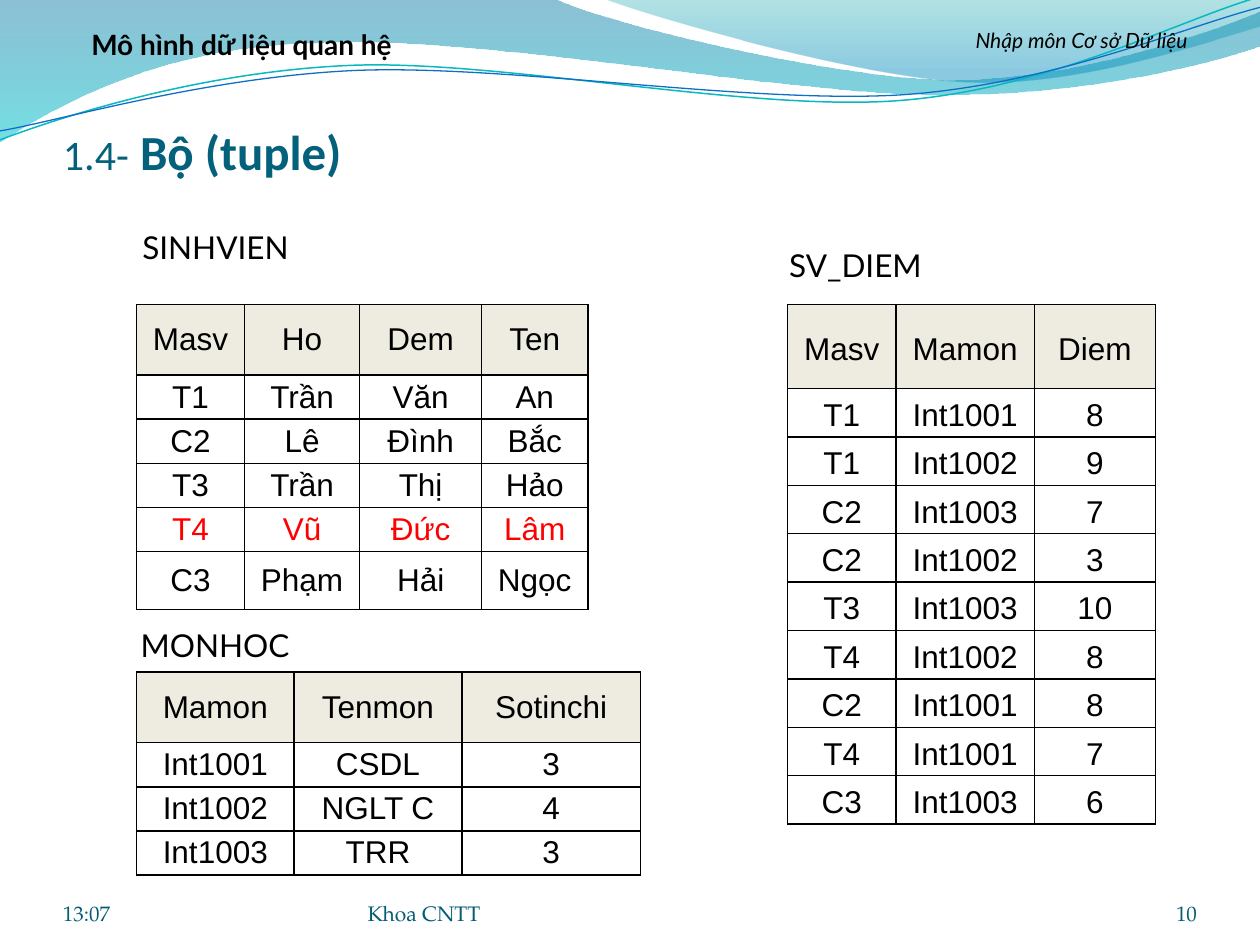
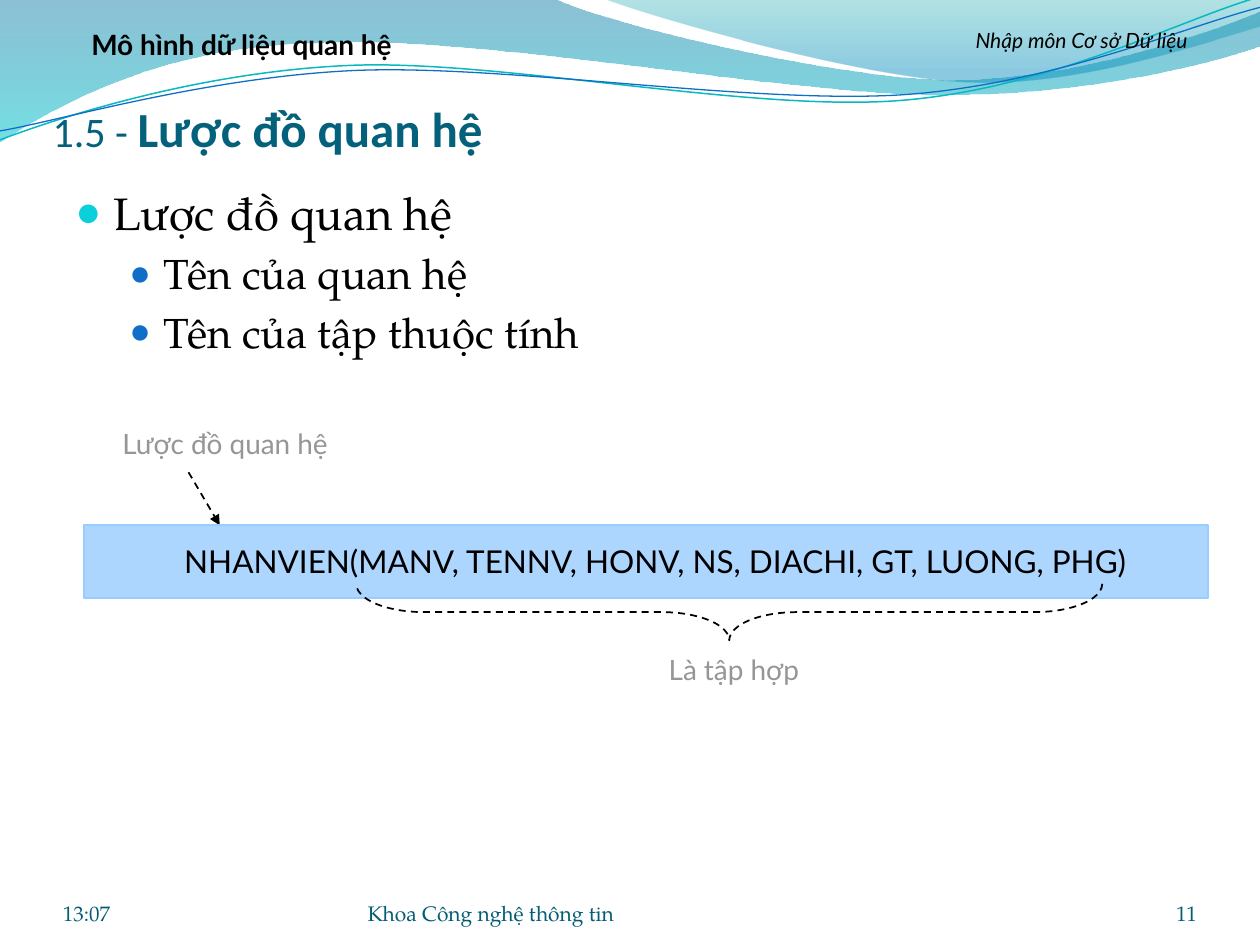
from dataclasses import dataclass

from pptx import Presentation
from pptx.dml.color import RGBColor as Rgb
from pptx.enum.dml import MSO_LINE_DASH_STYLE as Dash
from pptx.enum.shapes import MSO_CONNECTOR_TYPE as Connector, MSO_SHAPE as Shape
from pptx.enum.text import MSO_ANCHOR as Anchor, PP_ALIGN as Align
from pptx.oxml.ns import qn
from pptx.oxml.xmlchemy import OxmlElement as Element
from pptx.util import Cm, Pt


@dataclass(frozen=True)
class Theme:
    title: str = "04617B"
    footer: str = "045D75"
    text: str = "000000"
    muted: str = "969696"
    highlight: str = "FF0000"
    header_fill: str = "EEECE1"
    schema_fill: str = "99CCFF"
    bullet: str = "0BD0D9"
    sub_bullet: str = "0F6FC6"
    title_font: str = "Calibri"
    body_font: str = "TeX Gyre Pagella"
    label_font: str = "Lato"
    table_font: str = "Arial"
    title_size: int = 28
    body_size: int = 26
    sub_size: int = 24
    label_size: int = 18
    note_size: int = 16
    small_size: int = 12


@dataclass(frozen=True)
class Box:
    """A rectangle in centimetres."""
    left: float
    top: float
    width: float
    height: float

    def inner(self, x, y, width, height):
        return Box(self.left + x, self.top + y, width, height)

    def lengths(self):
        return [Cm(v) for v in (self.left, self.top, self.width, self.height)]


THEME = Theme()
PAGE = Box(0, 0, 25.4, 19.05)

# Wave outlines in cm: a start point, then lines (x, y) or curves (three points)
WAVE_BANDS = [
    ([(0, -0.03), (11.18, -0.03), (12.09, 0.43, 16.87, 1.6, 19.25, 1.6),
      (21.67, 1.6, 24.33, 0.66, 25.4, 0.23), (25.43, 0.91),
      (24.97, 1.12, 22.1, 1.93, 18.95, 1.91), (15.8, 1.91, 9.7, 0.71, 6.53, 0.86),
      (3.28, 0.89, 1.17, 2.11, -0.03, 2.87), (0, -0.03)],
     [(0, "0074A1", 45), (1, "00C6CF", 55)]),
    ([(12.17, -0.03), (12.93, 0.28, 17.32, 1.57, 19.53, 1.65),
      (21.74, 1.75, 24.41, 0.81, 25.4, 0.53), (25.4, 0), (12.17, -0.03)],
     [(0, "00A1A9", 30), (0.8, "008BBF", 45)]),
]
WAVE_LINES = [
    ([(0, 2.82), (1.22, 2.36, 4.01, 1.45, 7.04, 1.32),
      (10.03, 1.19, 15.06, 2.26, 18.11, 2.03), (21.16, 1.8, 23.83, 0.38, 25.35, -0.05)],
     "0AB8BF", 0.85),
    ([(0, 2.64), (1.19, 2.44, 4.17, 1.55, 7.19, 1.42),
      (10.24, 1.3, 15.16, 2.11, 18.21, 1.91), (21.23, 1.7, 23.9, 0.53, 25.4, 0.15)],
     "0F6FC6", 0.75),
]


def style(font, name, size, color, bold=False, italic=False):
    font.name, font.size, font.bold, font.italic = name, Pt(size), bold, italic
    font.color.rgb = Rgb.from_string(color)


def add_text(page, box, text, name, size, color, align=Align.LEFT, anchor=Anchor.TOP,
             insets=(0.25, 0.13, 0.25, 0.13), bold=False, italic=False):
    frame = page.shapes.add_textbox(*box.lengths()).text_frame
    frame.word_wrap, frame.vertical_anchor = True, anchor
    (frame.margin_left, frame.margin_top,
     frame.margin_right, frame.margin_bottom) = [Cm(v) for v in insets]
    para = frame.paragraphs[0]
    para.text, para.alignment = text, align
    for span in para.runs:
        style(span.font, name, size, color, bold, italic)
    return para


def add_label(page, box, text, size=THEME.label_size, color=THEME.text, **emphasis):
    return add_text(page, box, text, THEME.label_font, size, color, Align.CENTER, **emphasis)


def set_opacity(shape, *percents):
    for color, percent in zip(shape._element.spPr.iter(qn("a:srgbClr")), percents):
        alpha = Element("a:alpha")
        alpha.set("val", str(percent * 1000))
        color.append(alpha)


def dash_line(line):
    line.color.rgb = Rgb.from_string(THEME.text)
    line.width, line.dash_style = Pt(1), Dash.DASH


# Wave decoration at the top

def add_wave(page, box, outline, close):
    """Lay out all points as lines, then join each curve's three into one Bézier."""
    points = [(Cm(box.left + x), Cm(box.top + y))
              for segment in outline for x, y in zip(segment[::2], segment[1::2])]
    builder = page.shapes.build_freeform(*points[0])
    builder.add_line_segments(points[1:], close=close)
    wave = builder.convert_to_shape()
    wave.shadow.inherit = False
    lines = iter(list(wave._element.spPr.iter(qn("a:lnTo"))))
    for segment in outline[1:]:
        first = next(lines)
        if len(segment) == 6:
            curve = Element("a:cubicBezTo")
            first.addprevious(curve)
            for line in (first, next(lines), next(lines)):
                curve.append(line[0])
                line.getparent().remove(line)
    return wave


def add_waves(page, box):
    for outline, stops in WAVE_BANDS:
        band = add_wave(page, box, outline, True)
        band.line.fill.background()
        band.fill.gradient()
        band.fill.gradient_angle = 270
        for stop, (position, color, _) in zip(band.fill.gradient_stops, stops):
            stop.position, stop.color.rgb = position, Rgb.from_string(color)
        set_opacity(band, *(opacity for _, _, opacity in stops))
    for outline, color, width in WAVE_LINES:
        wave = add_wave(page, box, outline, False)
        wave.fill.background()
        wave.line.color.rgb, wave.line.width = Rgb.from_string(color), Pt(width)


# Running heads, title and footer

def add_heads(page, box):
    add_label(page, box.inner(18.21, 0.43, 7.19, 0.97), "Nhập môn Cơ sở Dữ liệu",
              THEME.small_size, italic=True)
    add_label(page, box.inner(0.64, 0.43, 8.46, 0.94), "Mô hình dữ liệu quan hệ",
              THEME.note_size, bold=True)


def add_title(page, box, number, title):
    para = add_text(page, box, number, THEME.title_font, THEME.sub_size, THEME.title,
                    anchor=Anchor.BOTTOM, insets=(0, 0.13, 0, 0))
    span = para.add_run()
    span.text = title
    style(span.font, THEME.title_font, THEME.title_size, THEME.title, bold=True)


def add_footer(page, box, department, number):
    for x, width, text, align in ((0, 5.92, "13:07", Align.LEFT),
                                  (6.14, 9.32, department, Align.LEFT),
                                  (20.75, 2.11, number, Align.RIGHT)):
        add_text(page, box.inner(x, 0, width, box.height), text, THEME.body_font,
                 THEME.small_size, THEME.footer, align, Anchor.BOTTOM, (0, 0, 0, 0))


def add_page(deck, title_box, number, title, department, page_number):
    page = deck.slides.add_slide(deck.slide_layouts[6])
    add_waves(page, PAGE)
    add_title(page, title_box, number, title)
    add_footer(page, PAGE.inner(1.27, 17.65, 22.86, 1.02), department, page_number)
    add_heads(page, PAGE)
    return page


# Relation: a caption above a bordered table

def add_borders(cell):
    properties = cell._tc.get_or_add_tcPr()
    for side in ("a:lnL", "a:lnR", "a:lnT", "a:lnB"):
        line, fill, color = Element(side), Element("a:solidFill"), Element("a:srgbClr")
        line.set("w", str(Pt(1)))
        color.set("val", THEME.text)
        fill.append(color)
        line.append(fill)
        properties.append(line)


def add_relation(page, box, name, caption_at, columns, heights, rows,
                 spacing=None, highlight=None):
    table = page.shapes.add_table(len(rows), len(columns), *box.lengths()).table
    table.first_row = table.horz_banding = False
    for column, width in zip(table.columns, columns):
        column.width = Cm(width)
    for r, (row, height) in enumerate(zip(rows, heights)):
        table.rows[r].height = Cm(height)
        for c, text in enumerate(row.split("|")):
            cell = table.cell(r, c)
            add_borders(cell)
            if r == 0:
                cell.fill.solid()
                cell.fill.fore_color.rgb = Rgb.from_string(THEME.header_fill)
            else:
                cell.fill.background()
            cell.vertical_anchor = Anchor.MIDDLE
            cell.margin_left = cell.margin_right = Cm(0.18)
            cell.margin_top = cell.margin_bottom = 0
            para = cell.text_frame.paragraphs[0]
            para.text, para.alignment, para.line_spacing = text, Align.CENTER, spacing
            style(para.runs[0].font, THEME.table_font, THEME.label_size,
                  THEME.highlight if r == highlight else THEME.text)
    add_label(page, box.inner(*caption_at, 3.61, 1.02), name)


# Bulleted body

def add_bullets(page, box, items):
    frame = page.shapes.add_textbox(*box.lengths()).text_frame
    frame.word_wrap = True
    levels = ((0.76, 0.76, THEME.bullet, 95, THEME.body_size),
              (1.78, 0.69, THEME.sub_bullet, 85, THEME.sub_size))
    for index, (level, text) in enumerate(items):
        margin, hang, color, percent, size = levels[level]
        para = frame.add_paragraph() if index else frame.paragraphs[0]
        para.text, para.level = text, level
        if index:
            para.space_before = Pt(4.8)
        properties = para._p.get_or_add_pPr()
        properties.set("marL", str(Cm(margin)))
        properties.set("indent", str(-Cm(hang)))
        bullet_color, value = Element("a:buClr"), Element("a:srgbClr")
        value.set("val", color)
        bullet_color.append(value)
        bullet_size, bullet_font = Element("a:buSzPct"), Element("a:buFont")
        bullet = Element("a:buChar")
        bullet_size.set("val", str(percent * 1000))
        bullet_font.set("typeface", THEME.table_font)
        bullet.set("char", "●")
        properties.extend((bullet_color, bullet_size, bullet_font, bullet))
        style(para.runs[0].font, THEME.body_font, size, THEME.text)


# Schema diagram: bar, pointer and brace with their notes

def add_schema(page, box):
    add_label(page, box.inner(-1.06, -2.13, 7.82, 0.94), "Lược đồ quan hệ",
              THEME.note_size, THEME.muted)
    pointer = page.shapes.add_connector(
        Connector.STRAIGHT, Cm(box.left + 2.11), Cm(box.top - 1.07),
        Cm(box.left + 2.74), Cm(box.top))
    dash_line(pointer.line)
    head = Element("a:tailEnd")
    head.set("type", "triangle")
    pointer.line._get_or_add_ln().append(head)
    pointer._element.spPr.append(Element("a:effectLst"))

    bar = page.shapes.add_shape(Shape.RECTANGLE, *box.lengths())
    bar.shadow.inherit = False
    bar.fill.solid()
    bar.fill.fore_color.rgb = bar.line.color.rgb = Rgb.from_string(THEME.schema_fill)
    bar.line.width = Pt(1)
    set_opacity(bar, 80)
    add_label(page, box.inner(0.63, 0.2, 21.79, 1.02),
              "NHANVIEN(MANV, TENNV, HONV, NS, DIACHI, GT, LUONG, PHG)")

    brace = page.shapes.add_shape(Shape.RIGHT_BRACE,
                                  *box.inner(12.44, -5.77, 1.14, 15.04).lengths())
    brace.shadow.inherit = False
    brace.rotation = 90
    brace.adjustments[0], brace.adjustments[1] = 1.2, 0.5
    brace.fill.background()
    dash_line(brace.line)
    add_label(page, box.inner(10.69, 2.44, 4.83, 0.94), "Là tập hợp",
              THEME.note_size, THEME.muted)


def build_tuple_page(deck):
    page = add_page(deck, PAGE.inner(1.27, 1.9, 22.86, 1.73), "1.4-", " Bộ (tuple)",
                    "Khoa CNTT", "10")
    add_relation(page, PAGE.inner(2.75, 6.14, 9.1, 6.15), "SINHVIEN", (-0.21, -1.67),
                 (2.18, 2.32, 2.46, 2.14), [1.42] + [0.89] * 4 + [1.17],
                 ["Masv|Ho|Dem|Ten", "T1|Trần|Văn|An", "C2|Lê|Đình|Bắc",
                  "T3|Trần|Thị|Hảo", "T4|Vũ|Đức|Lâm", "C3|Phạm|Hải|Ngọc"], highlight=4)
    score_box, header = PAGE.inner(15.88, 6.14, 7.41, 10.48), 1.69
    add_relation(page, score_box, "SV_DIEM", (-0.44, -1.31), (2.18, 2.79, 2.44),
                 [header] + [(score_box.height - header) / 9] * 9,
                 ["Masv|Mamon|Diem", "T1|Int1001|8", "T1|Int1002|9", "C2|Int1003|7",
                  "C2|Int1002|3", "T3|Int1003|10", "T4|Int1002|8", "C2|Int1001|8",
                  "T4|Int1001|7", "C3|Int1003|6"], spacing=1.15)
    add_relation(page, PAGE.inner(2.75, 13.55, 10.16, 4.09), "MONHOC", (-0.22, -1.05),
                 (3.18, 3.38, 3.6), [1.42] + [0.89] * 3,
                 ["Mamon|Tenmon|Sotinchi", "Int1001|CSDL|3", "Int1002|NGLT C|4",
                  "Int1003|TRR|3"])


def build_schema_page(deck):
    page = add_page(deck, PAGE.inner(1.06, 1.9, 22.86, 1.27), "1.5 - ", "Lược đồ quan hệ",
                    "Khoa Công nghệ thông tin", "11")
    add_bullets(page, PAGE.inner(1.27, 3.6, 22.86, 10.6),
                [(0, "Lược đồ quan hệ"), (1, "Tên của quan hệ"),
                 (1, "Tên của tập thuộc tính")])
    add_schema(page, PAGE.inner(1.69, 10.59, 22.66, 1.47))


def main():
    deck = Presentation()
    deck.slide_width, deck.slide_height = Cm(PAGE.width), Cm(PAGE.height)
    build_tuple_page(deck)
    build_schema_page(deck)
    deck.save("out.pptx")


if __name__ == "__main__":
    main()
